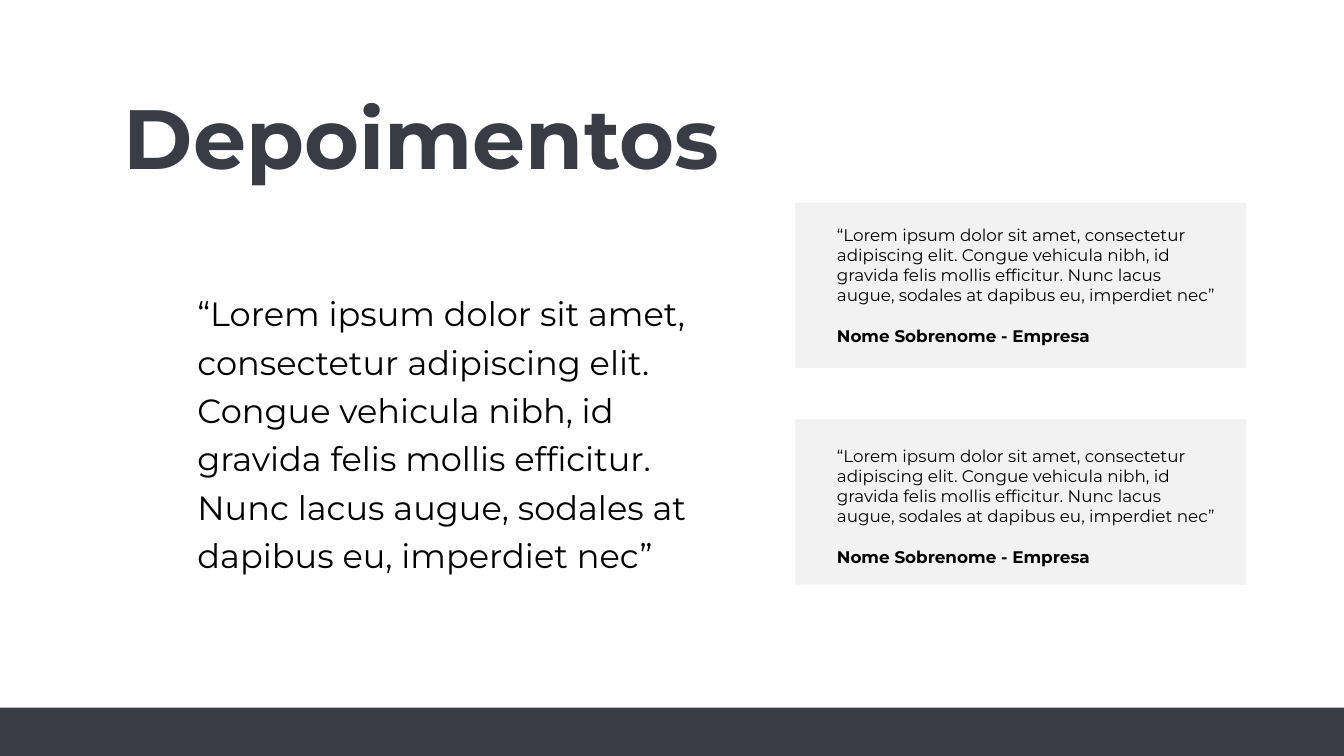
from pptx import Presentation
from pptx.dml.color import RGBColor
from pptx.enum.shapes import MSO_SHAPE as Shape
from pptx.util import Inches, Pt

SLATE = RGBColor(0x39, 0x3B, 0x45)
PALE = RGBColor(0xF2, 0xF2, 0xF2)
BLACK = RGBColor(0, 0, 0)
WIDTH, HEIGHT = 13.33, 7.5
QUOTE = ("“Lorem ipsum dolor sit amet, consectetur adipiscing elit. "
         "Congue vehicula nibh, id gravida felis mollis efficitur. "
         "Nunc lacus augue, sodales at dapibus eu, imperdiet nec”")
AUTHOR = "Nome Sobrenome - Empresa"


def add_panel(slide, box, color):
    """Draw a plain filled rectangle in the box."""
    panel = slide.shapes.add_shape(Shape.RECTANGLE, *map(Inches, box))
    panel.shadow.inherit = False
    panel.fill.solid()
    panel.fill.fore_color.rgb = color
    panel.line.fill.background()


def add_words(slide, box, lines, size, color=BLACK):
    """Write (text, bold) lines in the box and return their paragraphs."""
    frame = slide.shapes.add_textbox(*map(Inches, box)).text_frame
    frame.word_wrap = True
    frame.text = "\n".join(text for text, _ in lines)
    for paragraph, (_, bold) in zip(frame.paragraphs, lines):
        font = paragraph.runs[0].font
        font.name, font.size, font.bold = "Montserrat", Pt(size), bold
        font.color.rgb = color
    return frame.paragraphs


def add_title(slide, box):
    """Write the slide heading."""
    heading, = add_words(slide, box, [("Depoimentos", True)], 60, SLATE)
    heading.line_spacing = Pt(70)


def add_main_quote(slide, box):
    """Write the large testimonial."""
    quote, = add_words(slide, box, [(QUOTE, False)], 24)
    quote.line_spacing = 1.2
    quote.space_after = Pt(12)


def add_testimonial(slide, box, inset):
    """Draw a card with a small quote and its author, inset from the top."""
    left, top, width, height = box
    add_panel(slide, box, PALE)
    words = left + 0.07 * width, top + inset, 0.9 * width, 0.78 * height
    _, author = add_words(slide, words, [(QUOTE, False), (AUTHOR, True)], 12)
    author.space_before = Pt(14.5)


def main():
    """Build the testimonials slide."""
    deck = Presentation()
    deck.slide_width, deck.slide_height = Inches(WIDTH), Inches(HEIGHT)
    slide = deck.slides.add_slide(deck.slide_layouts[6])
    add_title(slide, (1.13, 0.83, 7.27, 1.08))
    add_main_quote(slide, (1.86, 2.78, 5.07, 2.49))
    footer = 0.48
    add_panel(slide, (0, HEIGHT - footer, WIDTH, footer), SLATE)
    for row, inset in enumerate((0.17, 0.21)):
        add_testimonial(slide, (7.89, 2.01 + 2.15 * row, 4.47, 1.64), inset)
    deck.save("out.pptx")


if __name__ == "__main__":
    main()
